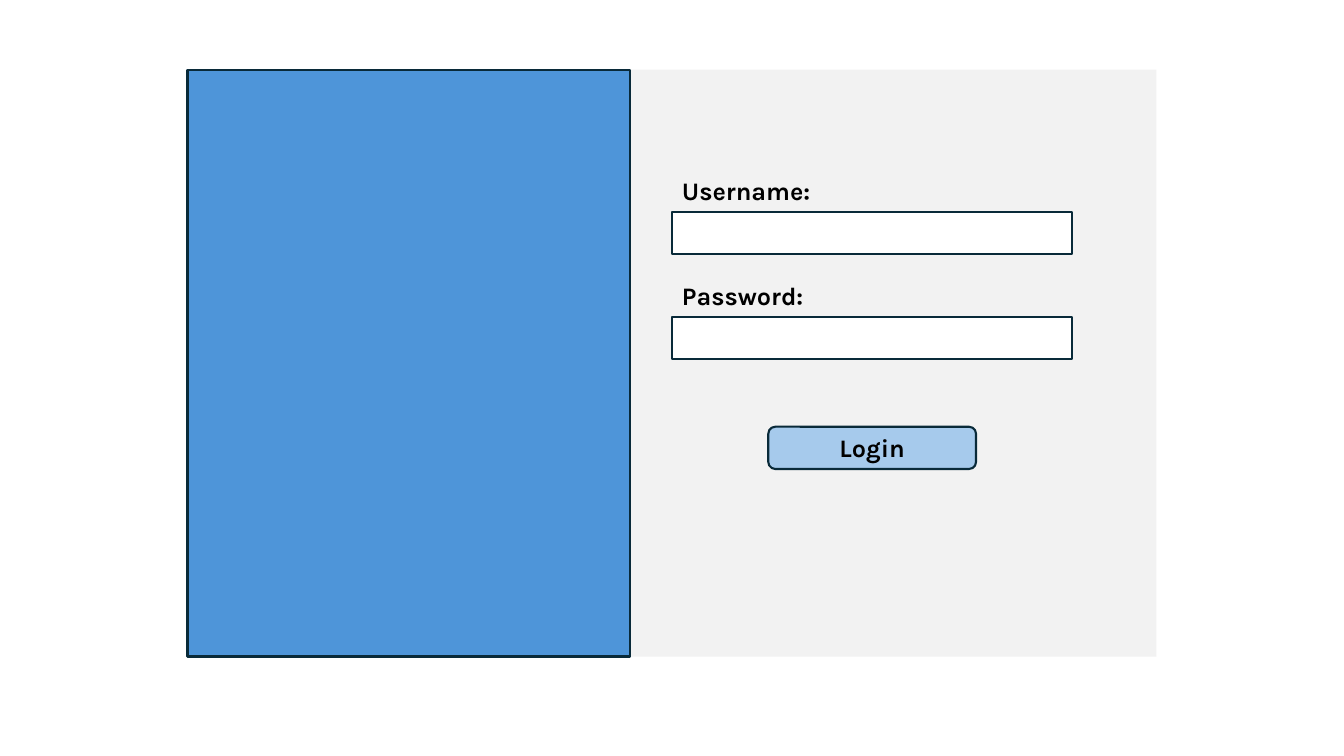
from pptx import Presentation, util as u
from pptx.dml.color import RGBColor
from pptx.enum import shapes, text

Pt = u.Pt
HUES = {
    "card": "F2F2F2",
    "panel": "4E95D9",
    "edge": "092A39",
    "field": "FFFFFF",
    "button": "A6CAEC",
    "ink": "000000",
}


def hue(name):
    return RGBColor.from_string(HUES[name])


def write(frame, words, size=18, font="Karla", color="ink", bold=True,
          align=text.PP_ALIGN.LEFT, anchor=text.MSO_ANCHOR.TOP):
    frame.word_wrap = True
    frame.vertical_anchor = anchor
    para = frame.paragraphs[0]
    para.alignment = align
    run = para.add_run()
    run.text = words
    run.font.size = Pt(size)
    run.font.name = font
    run.font.bold = bold
    run.font.color.rgb = hue(color)


class Form:
    def __init__(self, slide, edge="edge", weight=1.5):
        self.slide = slide
        self.edge = edge
        self.weight = weight

    def box(self, x, y, w, h, fill, line=True, kind=shapes.MSO_SHAPE.RECTANGLE):
        shape = self.slide.shapes.add_shape(kind, Pt(x), Pt(y), Pt(w), Pt(h))
        shape.shadow.inherit = False
        shape.fill.solid()
        shape.fill.fore_color.rgb = hue(fill)
        if line:
            shape.line.color.rgb = hue(self.edge)
            shape.line.width = Pt(self.weight)
        else:
            shape.line.fill.background()
        return shape

    def label(self, x, y, w, h, words):
        frame = self.slide.shapes.add_textbox(Pt(x), Pt(y), Pt(w), Pt(h)).text_frame
        write(frame, words)
        frame.auto_size = text.MSO_AUTO_SIZE.SHAPE_TO_FIT_TEXT

    def button(self, x, y, w, h, words):
        shape = self.box(x, y, w, h, "button",
                         kind=shapes.MSO_SHAPE.ROUNDED_RECTANGLE)
        write(shape.text_frame, words, align=text.PP_ALIGN.CENTER,
              anchor=text.MSO_ANCHOR.MIDDLE)


def main():
    deck = Presentation()
    deck.slide_width, deck.slide_height = Pt(960), Pt(540)
    form = Form(deck.slides.add_slide(deck.slide_layouts[6]))

    left, top, tall = 134, 49.8, 419.2
    form.box(left, top, 692, tall, "card", line=False)
    form.box(left, top, 316, tall, "panel")

    x, wide, high, step = 480, 286, 30.2, 75
    for i, words in enumerate(["Username:", "Password:"]):
        form.label(x, 121.6 + i * step, 240, high, words)
        form.box(x, 151.2 + i * step, wide, high, "field")

    span = 148.4
    form.button(x + (wide - span) / 2, 304.8, span, high, "Login")
    deck.save("out.pptx")


if __name__ == "__main__":
    main()
